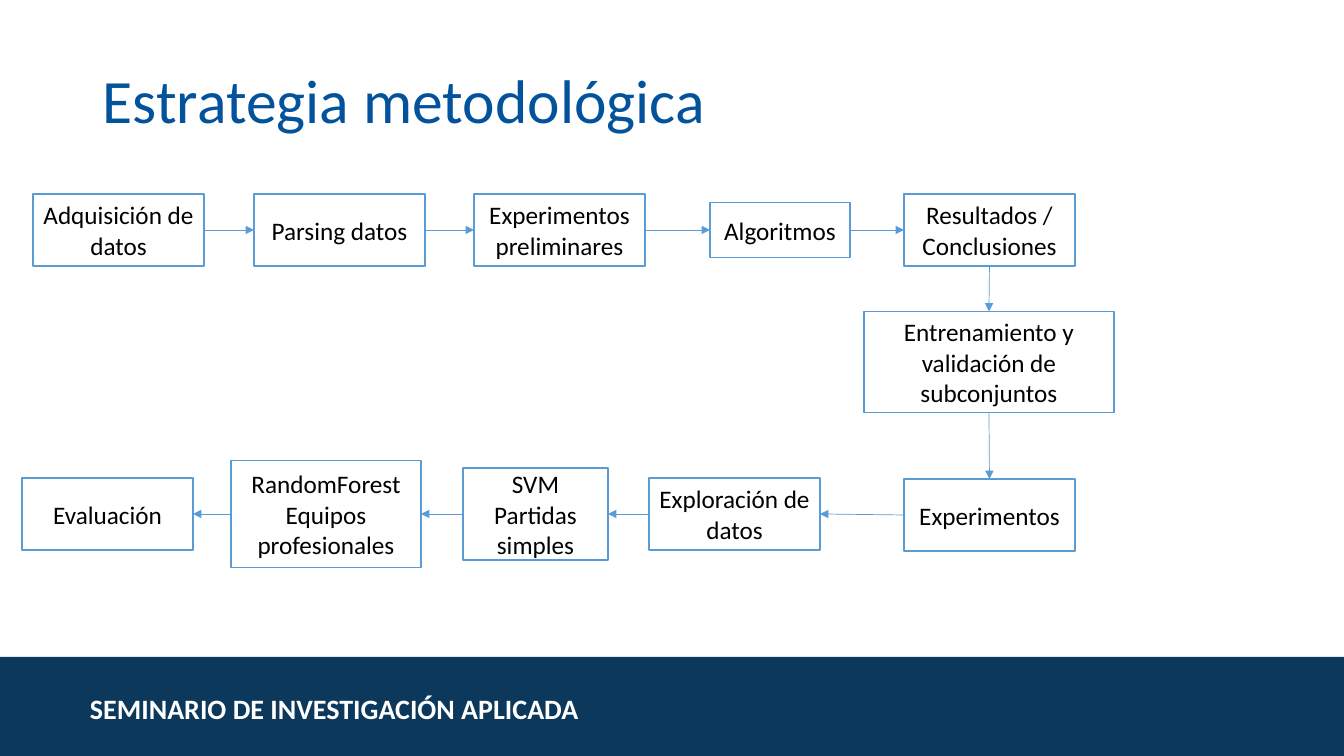
"""Builds the methodological strategy slide as a connected flow of steps."""
from itertools import pairwise

from lxml import etree
from pptx import Presentation
from pptx import util as u
from pptx.dml.color import RGBColor
from pptx.enum import shapes, text
from pptx.oxml.ns import qn

EMU_PER_PX = 914400 / 100.8
COLOURS = {
    "title": "03529C",
    "footer": "0C385B",
    "outline": "5B9BD5",
    "white": "FFFFFF",
    "black": "000000",
}
TOP, LEFT, BOTTOM, RIGHT = range(4)
STEP_WIDTH, STEP_HEIGHT = 171, 72
TOP_ROW, MIDDLE_ROW, BOTTOM_ROW = 230, 362, 514


def px(length):
    return u.Emu(round(length * EMU_PER_PX))


def colour(name):
    return RGBColor.from_string(COLOURS[name])


def write(shape, content, size=18, ink="black", bold=False,
          align=text.PP_ALIGN.LEFT, spacing=1.0):
    frame = shape.text_frame
    frame.word_wrap = True
    frame.vertical_anchor = text.MSO_ANCHOR.MIDDLE
    frame.text = content
    for paragraph in frame.paragraphs:
        paragraph.alignment = align
        paragraph.line_spacing = spacing
        font = paragraph.font
        font.name, font.size, font.bold = "Calibri", u.Pt(size), bold
        font.color.rgb = colour(ink)


class FlowSlide:
    def __init__(self, slide):
        self.slide = slide
        self.outline = "outline"

    def rectangle(self, left, top, width, height, fill, outline=None):
        shape = self.slide.shapes.add_shape(
            shapes.MSO_SHAPE.RECTANGLE, px(left), px(top), px(width), px(height))
        shape.shadow.inherit = False
        shape.fill.solid()
        shape.fill.fore_color.rgb = colour(fill)
        if outline:
            shape.line.color.rgb = colour(outline)
            shape.line.width = u.Pt(1)
        else:
            shape.line.fill.background()
        return shape

    def label(self, content, left, top, width, height, **style):
        box = self.slide.shapes.add_textbox(px(left), px(top), px(width), px(height))
        write(box, content, **style)

    def step(self, content, left, middle, width=STEP_WIDTH, height=STEP_HEIGHT):
        shape = self.rectangle(left, middle - height / 2, width, height,
                               "white", self.outline)
        write(shape, content, align=text.PP_ALIGN.CENTER)
        return shape

    def arrow(self, start, start_side, end, end_side):
        connector = self.slide.shapes.add_connector(
            shapes.MSO_CONNECTOR.STRAIGHT, 0, 0, 0, 0)
        connector.begin_connect(start, start_side)
        connector.end_connect(end, end_side)
        connector.line.color.rgb = colour(self.outline)
        connector.line.width = u.Pt(0.5)
        etree.SubElement(connector.line._get_or_add_ln(), qn("a:tailEnd"),
                         type="triangle")
        etree.SubElement(connector._element.spPr, qn("a:effectLst"))

    def chain(self, steps, start_side, end_side):
        for start, end in pairwise(steps):
            self.arrow(start, start_side, end, end_side)


def main():
    presentation = Presentation()
    presentation.slide_width, presentation.slide_height = px(1344), px(756)
    flow = FlowSlide(presentation.slides.add_slide(presentation.slide_layouts[6]))

    flow.rectangle(0, 657, 1344, 99, "footer")
    flow.label("SEMINARIO DE INVESTIGACIÓN APLICADA", 80, 688, 750, 40,
               size=20, ink="white", bold=True)
    flow.label("Estrategia metodológica", 93, 31, 1159, 146,
               size=44, ink="title", spacing=0.9)

    preparation = [flow.step(*step) for step in (
        ("Adquisición de datos", 33, TOP_ROW),
        ("Parsing datos", 254, TOP_ROW),
        ("Experimentos preliminares", 474, TOP_ROW),
        ("Algoritmos", 710, TOP_ROW, 140, 55),
        ("Resultados / Conclusiones", 904, TOP_ROW),
    )]
    training = flow.step("Entrenamiento y validación de subconjuntos",
                         864, MIDDLE_ROW, 250, 101)
    evaluation = [flow.step(*step) for step in (
        ("Experimentos", 904, BOTTOM_ROW + 1),
        ("Exploración de datos", 649, BOTTOM_ROW),
        ("SVM\nPartidas simples", 463, BOTTOM_ROW, 145, 92),
        ("RandomForest Equipos profesionales", 231, BOTTOM_ROW, 190, 107),
        ("Evaluación", 22, BOTTOM_ROW),
    )]

    flow.chain(preparation, RIGHT, LEFT)
    flow.chain([preparation[-1], training, evaluation[0]], BOTTOM, TOP)
    flow.chain(evaluation, LEFT, RIGHT)
    presentation.save("out.pptx")


if __name__ == "__main__":
    main()
